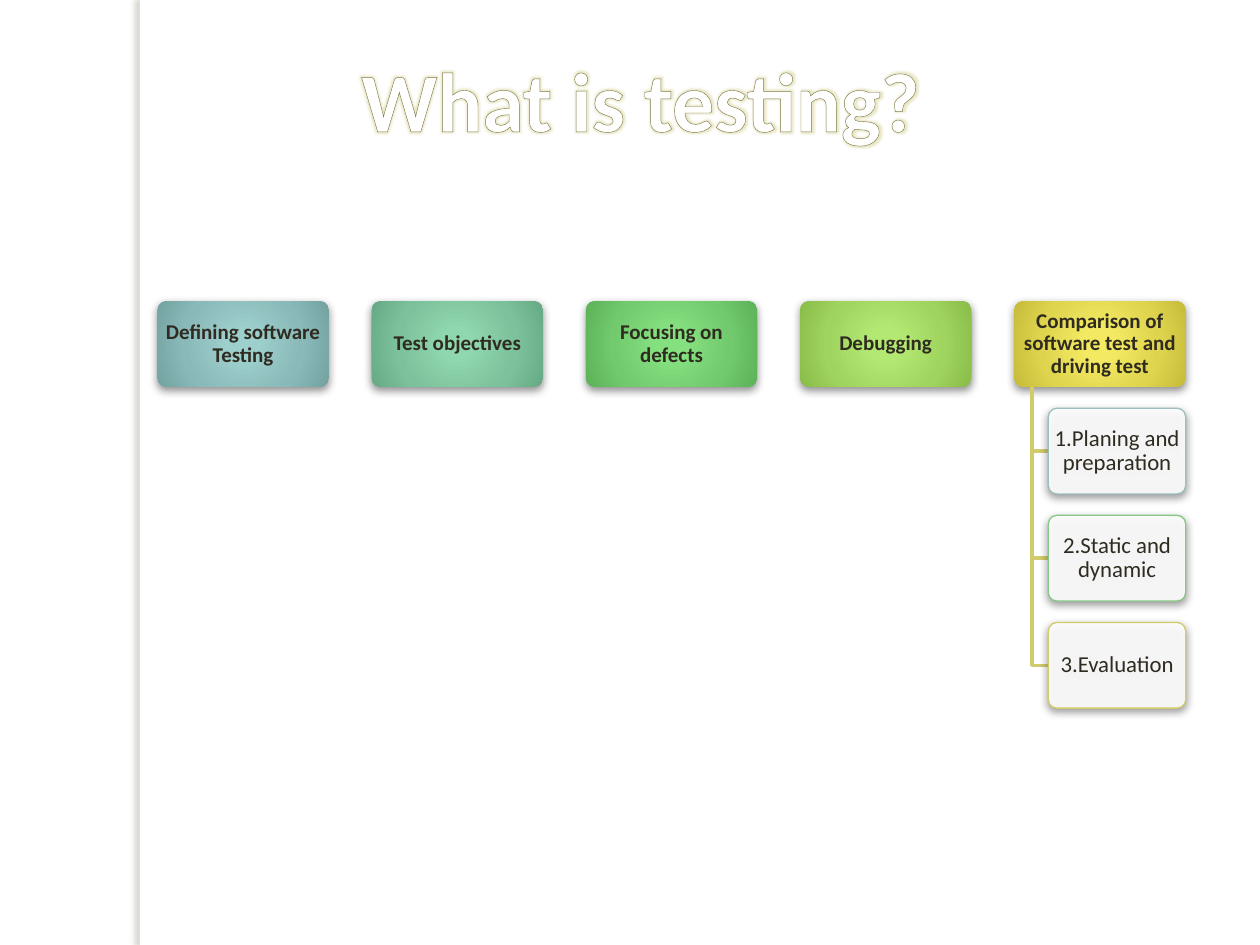
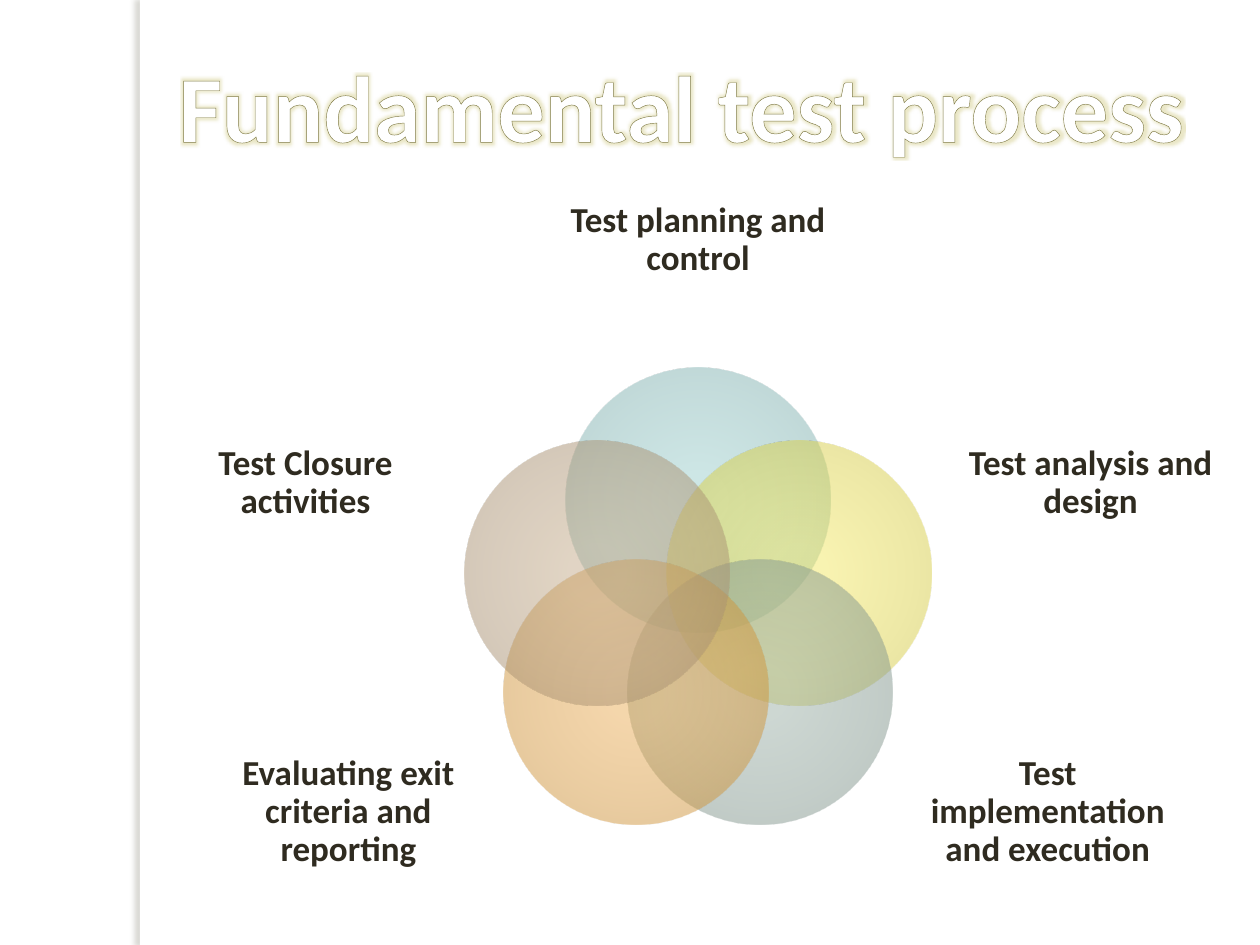
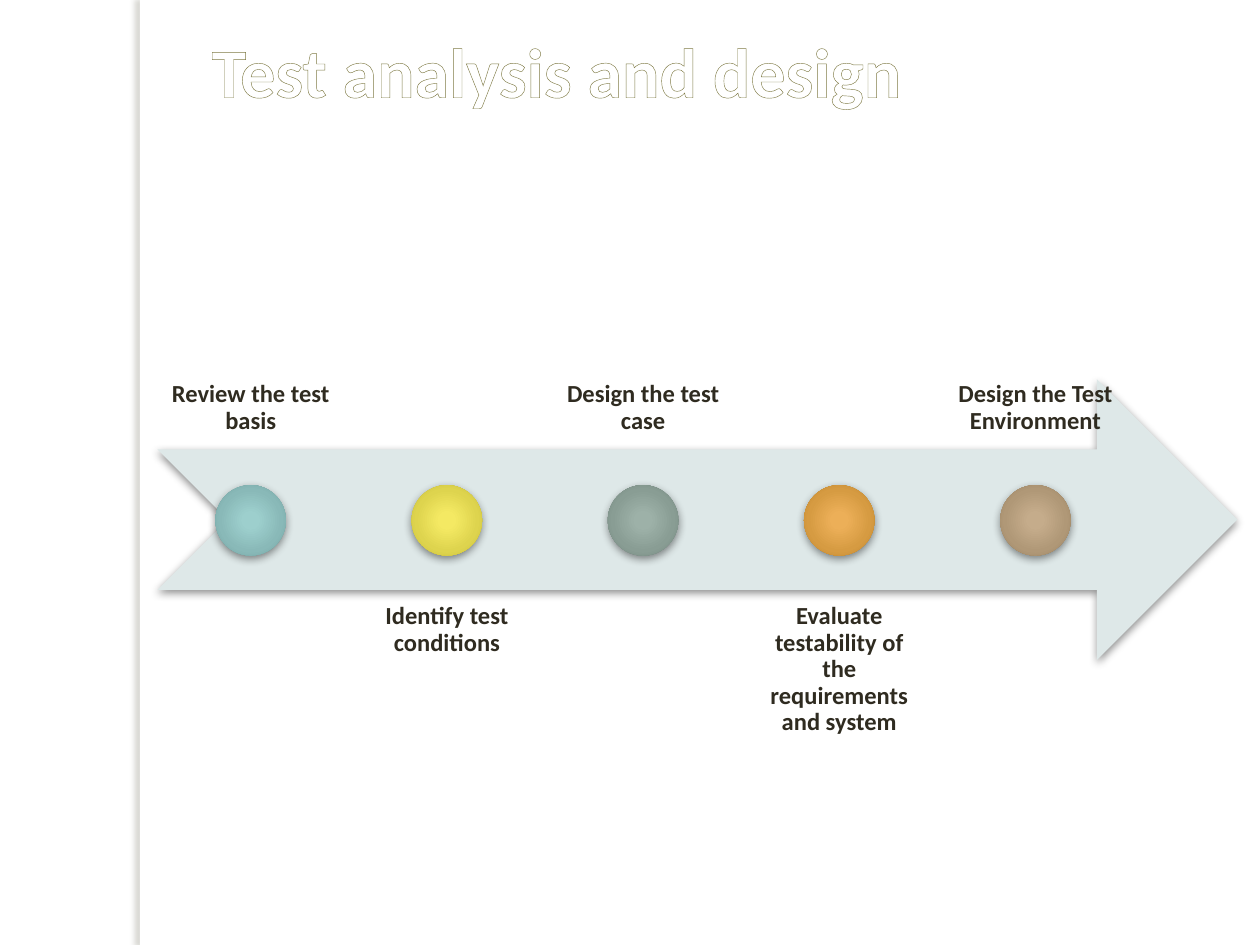
import math

from lxml import etree
from pptx import Presentation
from pptx import util as u
from pptx.dml.color import RGBColor
from pptx.enum import shapes, text
from pptx.oxml import ns

COLOURS = {
    "white": "FFFFFF", "ink": "2F2B20", "outline": "7F7A45", "glow": "C4BB61",
    "band_shadow": "706E5A", "shadow": "000000", "branch": "D2CB6C",
    "step_teal": "9CBEBD", "step_green": "88C785", "arrow": "DEE8E8",
}
# Radial gradients: centre, middle and rim
GRADIENTS = {
    "teal": ("9DCFCD", "89B9B8", "75A4A3"),
    "mint": ("8FD7AF", "7BC19B", "68AC87"),
    "green": ("85E080", "71CA6D", "5EB459"),
    "lime": ("B3E972", "9FD45E", "8BBE4A"),
    "yellow": ("F4E963", "DED44E", "C8BE3B"),
    "sage": ("9DB1A8", "899D94", "758880"),
    "orange": ("ECAF58", "D69B42", "C1882D"),
    "tan": ("C5AC8B", "B09877", "9B8464"),
}
ACCENTS = ("teal", "yellow", "sage", "orange", "tan")
FONT = "Calibri"
SHAPE = shapes.MSO_SHAPE
ANCHOR = text.MSO_ANCHOR
CENTRE = text.PP_ALIGN.CENTER


def rgb(name):
    return RGBColor.from_string(COLOURS[name])


def add_child(parent, tag, **attributes):
    values = {key: str(value) for key, value in attributes.items()}
    return etree.SubElement(parent, ns.qn("a:" + tag), values)


def add_colour(parent, value, opacity=100):
    colour = add_child(parent, "srgbClr", val=value)
    if opacity < 100:
        add_child(colour, "alpha", val=opacity * 1000)


def write(shape, words, size, bold=True, colour="ink", align=CENTRE,
          anchor=ANCHOR.MIDDLE, insets=(0, 0), spacing=0.9):
    """Put one formatted paragraph into a shape and return its run."""
    frame = shape.text_frame
    frame.word_wrap = True
    frame.auto_size = text.MSO_AUTO_SIZE.NONE
    frame.vertical_anchor = anchor
    frame.margin_left = frame.margin_right = u.Inches(insets[0])
    frame.margin_top = frame.margin_bottom = u.Inches(insets[1])
    paragraph = frame.paragraphs[0]
    paragraph.alignment = align
    paragraph.line_spacing = spacing
    run = paragraph.add_run()
    run.text = words
    run.font.name = FONT
    run.font.size = u.Pt(size)
    run.font.bold = bold
    run.font.color.rgb = rgb(colour)
    return run


class Deck:
    def __init__(self):
        self.presentation = Presentation()
        self.presentation.slide_width = u.Inches(10)
        self.presentation.slide_height = u.Inches(7.5)
        self.slide = None

    def new_slide(self, title, box, size, align=CENTRE, glow=True):
        layout = self.presentation.slide_layouts[5]
        self.slide = self.presentation.slides.add_slide(layout)
        # Side band with its shadow to the left
        band = self.shape(SHAPE.RECTANGLE, (1.11, 0, 0.08, 7.5), "white")
        self.shadow(band, "band_shadow", 25, 3, 3, 180)
        # Outlined title
        holder = self.slide.shapes.title
        holder.left, holder.top, holder.width, holder.height = map(u.Inches, box)
        run = write(holder, title, size, colour="white", align=align,
                    anchor=ANCHOR.TOP, insets=(0.1, 0.05), spacing=1.0)
        properties = run.font._element
        line = add_child(properties, "ln", w=u.Pt(2.48))
        add_colour(add_child(line, "solidFill"), COLOURS["outline"])
        properties.insert(0, line)
        if glow:
            effects = add_child(properties, "effectLst")
            halo = add_child(effects, "glow", rad=u.Pt(3.6))
            add_colour(halo, COLOURS["glow"], 35)
            properties.find(ns.qn("a:solidFill")).addnext(effects)

    def shape(self, kind, box, fill, opacity=100, line=None):
        shape = self.slide.shapes.add_shape(kind, *map(u.Inches, box))
        shape.shadow.inherit = False
        if fill in GRADIENTS:
            self.radial_fill(shape, GRADIENTS[fill], opacity)
        else:
            shape.fill.solid()
            shape.fill.fore_color.rgb = rgb(fill)
            if opacity < 100:
                solid = shape._element.spPr.find(ns.qn("a:solidFill"))
                add_child(solid[0], "alpha", val=opacity * 1000)
        if line:
            shape.line.color.rgb = rgb(line)
            shape.line.width = u.Pt(0.75)
        else:
            shape.line.fill.background()
        return shape

    def radial_fill(self, shape, colours, opacity):
        shape.fill.background()
        properties = shape._element.spPr
        gradient = add_child(properties, "gradFill", rotWithShape=1)
        stops = add_child(gradient, "gsLst")
        centre, middle, rim = colours
        for position, colour in ((0, centre), (15, centre), (62, middle),
                                 (97, rim), (100, rim)):
            stop = add_child(stops, "gs", pos=position * 1000)
            add_colour(stop, colour, opacity)
        path = add_child(gradient, "path", path="circle")
        add_child(path, "fillToRect", l=50000, t=50000, r=50000, b=50000)
        properties.replace(properties.find(ns.qn("a:noFill")), gradient)

    def shadow(self, shape, colour="shadow", opacity=43, blur=5, distance=2, angle=90):
        effects = shape._element.spPr.find(ns.qn("a:effectLst"))
        outer = add_child(effects, "outerShdw", blurRad=u.Pt(blur),
                          dist=u.Pt(distance), dir=angle * 60000, rotWithShape=0)
        add_colour(outer, COLOURS[colour], opacity)

    def card(self, box, words, fill, size, **style):
        card = self.shape(SHAPE.ROUNDED_RECTANGLE, box, fill, **style)
        card.adjustments[0] = 0.1
        self.shadow(card)
        write(card, words, size, bold=fill in GRADIENTS, insets=(0.03, 0.02))

    def circle(self, centre_x, centre_y, diameter, fill, opacity=100):
        box = (centre_x - diameter / 2, centre_y - diameter / 2, diameter, diameter)
        return self.shape(SHAPE.OVAL, box, fill, opacity)

    def label(self, box, words, size, **style):
        write(self.slide.shapes.add_textbox(*map(u.Inches, box)), words, size, **style)

    def branch(self, left, top, right, bottom):
        builder = self.slide.shapes.build_freeform(u.Inches(left), u.Inches(top))
        corners = ((left, bottom), (right, bottom))
        builder.add_line_segments(
            [(u.Inches(x), u.Inches(y)) for x, y in corners], close=False)
        branch = builder.convert_to_shape()
        branch.shadow.inherit = False
        branch.fill.background()
        branch.line.color.rgb = rgb("branch")
        branch.line.width = u.Pt(2)


def testing_slide(deck):
    deck.new_slide("What is testing?", (1.25, 0.33, 7.67, 0.91), 48)
    topics = (("Defining software Testing", "teal"), ("Test objectives", "mint"),
              ("Focusing on defects", "green"), ("Debugging", "lime"),
              ("Comparison of software test and driving test", "yellow"))
    top, height = 2.39, 0.68
    for index, (words, fill) in enumerate(topics):
        deck.card((1.25 + 1.7 * index, top, 1.36, height), words, fill, 12)
    # Steps hanging under the last topic
    steps = (("1.Planing and preparation", "step_teal"),
             ("2.Static and dynamic", "step_green"), ("3.Evaluation", "branch"))
    for index, (words, line) in enumerate(steps, 1):
        step_top = top + 0.85 * index
        deck.branch(8.19, top + height, 8.32, step_top + height / 2)
        deck.card((8.32, step_top, 1.09, height), words, "white", 13,
                  opacity=90, line=line)


def process_slide(deck):
    deck.new_slide("Fundamental test process", (0.58, 0.33, 9.66, 1.01), 54)
    labels = (("Test planning and control", (4.32, 1.2, 2.44, 1.41)),
              ("Test analysis and design", (7.56, 3.07, 2.19, 1.53)),
              ("Test implementation and execution", (7.22, 5.68, 2.19, 1.53)),
              ("Evaluating exit criteria and reporting", (1.67, 5.68, 2.19, 1.53)),
              ("Test Closure activities", (1.33, 3.07, 2.19, 1.53)))
    # Overlapping circles on a ring, clockwise from the top
    ring_radius = 0.84
    for index, ((words, box), fill) in enumerate(zip(labels, ACCENTS)):
        angle = math.tau * index / len(labels)
        deck.circle(5.54 + ring_radius * math.sin(angle),
                    4.81 - ring_radius * math.cos(angle), 2.1, fill, opacity=50)
        deck.label(box, words, 20)


def analysis_slide(deck):
    deck.new_slide("Test analysis and design", (1.58, 0.17, 6.88, 0.77), 40,
                   align=text.PP_ALIGN.LEFT, glow=False)
    arrow = deck.shape(SHAPE.NOTCHED_RIGHT_ARROW, (1.25, 3.01, 8.57, 2.23), "arrow")
    deck.shadow(arrow)
    stages = ("Review the test basis", "Identify test conditions",
              "Design the test case",
              "Evaluate testability of the requirements and system",
              "Design the Test Environment")
    # Labels alternate above and below the arrow
    width = 1.48
    for index, (words, fill) in enumerate(zip(stages, ACCENTS)):
        left = 1.25 + 1.557 * index
        top, anchor = (4.68, ANCHOR.TOP) if index % 2 else (1.33, ANCHOR.BOTTOM)
        deck.label((left, top, width, 2.23), words, 14, anchor=anchor,
                   insets=(0.11, 0.11))
        deck.shadow(deck.circle(left + width / 2, 4.13, 0.56, fill))


def main():
    deck = Deck()
    testing_slide(deck)
    process_slide(deck)
    analysis_slide(deck)
    deck.presentation.save("out.pptx")


if __name__ == "__main__":
    main()
